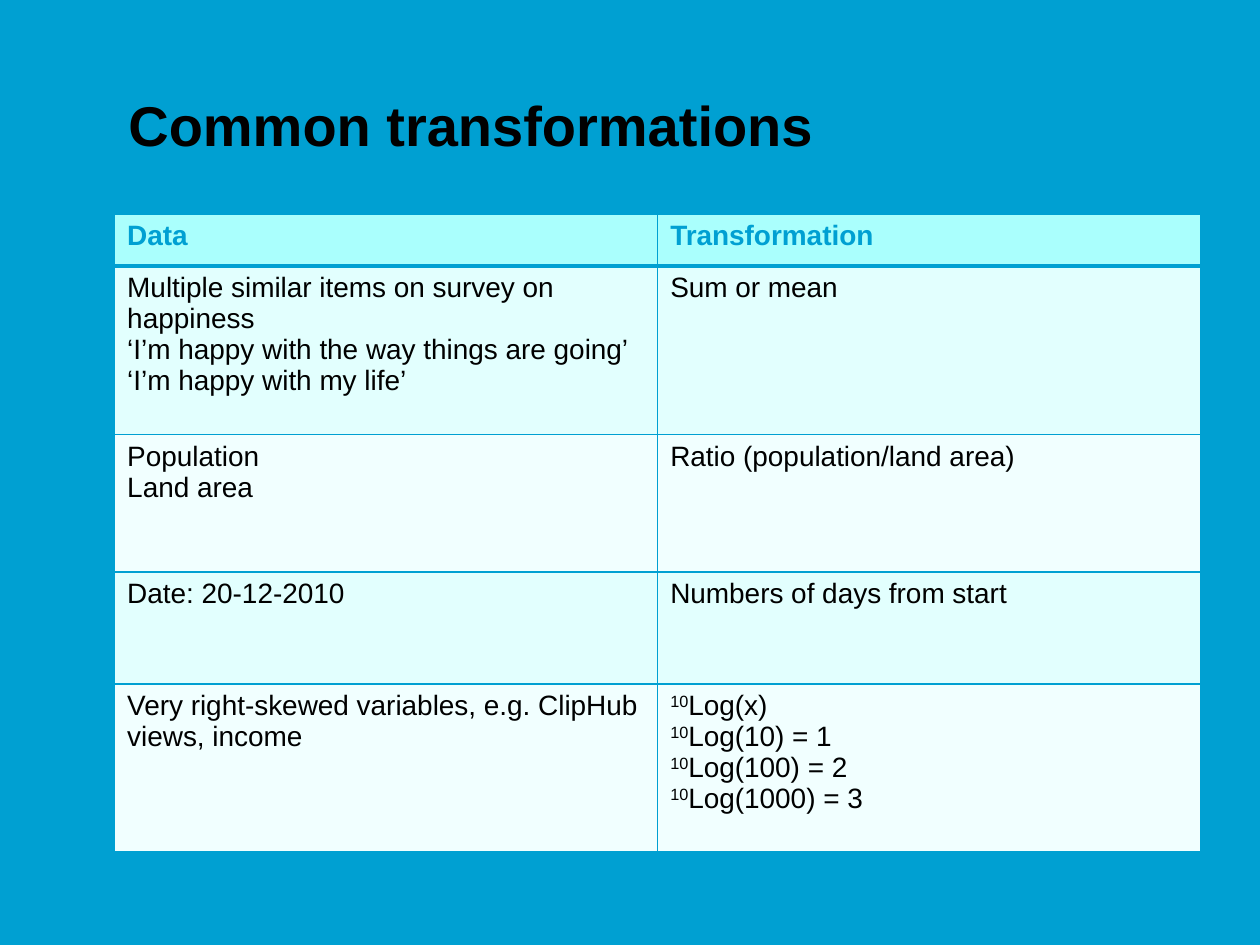
from dataclasses import dataclass
from typing import NamedTuple

from lxml import etree
from pptx import Presentation
from pptx.dml.color import RGBColor
from pptx.enum.text import MSO_ANCHOR
from pptx.oxml.ns import qn
from pptx.util import Inches, Pt

BOTTOM = MSO_ANCHOR.BOTTOM
SLIDE_WIDTH, SLIDE_HEIGHT = Inches(10), Inches(7.5)
BLANK_LAYOUT = 6
PLAIN_TABLE_STYLE = "{2D5ABB26-0587-4C30-8999-92F81FD0307C}"


@dataclass(frozen=True)
class Theme:
    font: str = "Arial"
    accent: str = "00A0D2"
    ink: str = "000000"
    header_fill: str = "AAFFFD"
    bands: tuple[str, str] = ("E2FFFE", "F1FFFF")
    title_size: float = 32
    table_size: float = 16
    border: float = 1
    header_rule: float = 3


class Span(NamedTuple):
    text: str
    raised: bool = False


class TextStyle(NamedTuple):
    size: float
    color: str
    bold: bool = False


Line = tuple[Span, ...]


@dataclass(frozen=True)
class TableRow:
    height: float
    data: tuple[Line, ...]
    transformation: tuple[Line, ...]


def lines(*texts: str) -> tuple[Line, ...]:
    return tuple((Span(text),) for text in texts)


def log_lines(*formulas: str) -> tuple[Line, ...]:
    return tuple((Span("10", True), Span(formula)) for formula in formulas)


THEME = Theme()
ROWS = (
    TableRow(0.41, lines("Data"), lines("Transformation")),
    TableRow(
        1.34,
        lines(
            "Multiple similar items on survey on happiness",
            "‘I’m happy with the way things are going’",
            "‘I’m happy with my life’",
        ),
        lines("Sum or mean"),
    ),
    TableRow(1.09, lines("Population", "Land area"), lines("Ratio (population/land area)")),
    TableRow(0.89, lines("Date: 20-12-2010"), lines("Numbers of days from start")),
    TableRow(
        1.33,
        lines("Very right-skewed variables, e.g. ClipHub views, income"),
        log_lines("Log(x)", "Log(10) = 1", "Log(100) = 2", "Log(1000) = 3"),
    ),
)


def write_lines(frame, content: tuple[Line, ...], style: TextStyle) -> None:
    frame.word_wrap = True
    for index, line in enumerate(content):
        paragraph = frame.add_paragraph() if index else frame.paragraphs[0]
        for span in line:
            run = paragraph.add_run()
            run.text = span.text
            run.font.name = THEME.font
            run.font.size = Pt(style.size)
            run.font.bold = style.bold
            run.font.color.rgb = RGBColor.from_string(style.color)
            if span.raised:
                run.font._element.set("baseline", "30000")


def draw_borders(cell, top: float, bottom: float) -> None:
    properties = cell._tc.get_or_add_tcPr()
    widths = {"lnL": THEME.border, "lnR": THEME.border, "lnT": top, "lnB": bottom}
    for position, (side, width) in enumerate(widths.items()):
        border = etree.Element(qn(f"a:{side}"), w=str(Pt(width)))
        fill = etree.SubElement(border, qn("a:solidFill"))
        etree.SubElement(fill, qn("a:srgbClr"), val=THEME.accent)
        properties.insert(position, border)


def draw_title(slide, text: str) -> None:
    title = slide.shapes.add_textbox(
        round(SLIDE_WIDTH * 0.092), round(SLIDE_HEIGHT * 0.09),
        round(SLIDE_WIDTH * 0.675), round(SLIDE_HEIGHT * 0.084),
    )
    title.text_frame.vertical_anchor = BOTTOM
    write_lines(title.text_frame, lines(text), TextStyle(THEME.title_size, THEME.ink, True))


def draw_table(slide, rows: tuple[TableRow, ...]) -> None:
    frame = slide.shapes.add_table(
        len(rows), 2, Inches(0.91), Inches(1.7),
        Inches(8.62), Inches(sum(row.height for row in rows)),
    )
    table = frame.table
    table._tbl.tblPr.find(qn("a:tableStyleId")).text = PLAIN_TABLE_STYLE
    for index, row in enumerate(rows):
        table.rows[index].height = Inches(row.height)
        is_header = index == 0
        fill = THEME.header_fill if is_header else THEME.bands[(index - 1) % 2]
        style = TextStyle(THEME.table_size, THEME.accent if is_header else THEME.ink, is_header)
        top = THEME.header_rule if index == 1 else THEME.border
        bottom = THEME.header_rule if is_header else THEME.border
        for column, content in enumerate((row.data, row.transformation)):
            cell = table.cell(index, column)
            cell.fill.solid()
            cell.fill.fore_color.rgb = RGBColor.from_string(fill)
            write_lines(cell.text_frame, content, style)
            draw_borders(cell, top, bottom)


def main() -> None:
    presentation = Presentation()
    presentation.slide_width, presentation.slide_height = SLIDE_WIDTH, SLIDE_HEIGHT
    slide = presentation.slides.add_slide(presentation.slide_layouts[BLANK_LAYOUT])
    slide.background.fill.solid()
    slide.background.fill.fore_color.rgb = RGBColor.from_string(THEME.accent)
    draw_title(slide, "Common transformations")
    draw_table(slide, ROWS)
    presentation.save("out.pptx")


if __name__ == "__main__":
    main()
